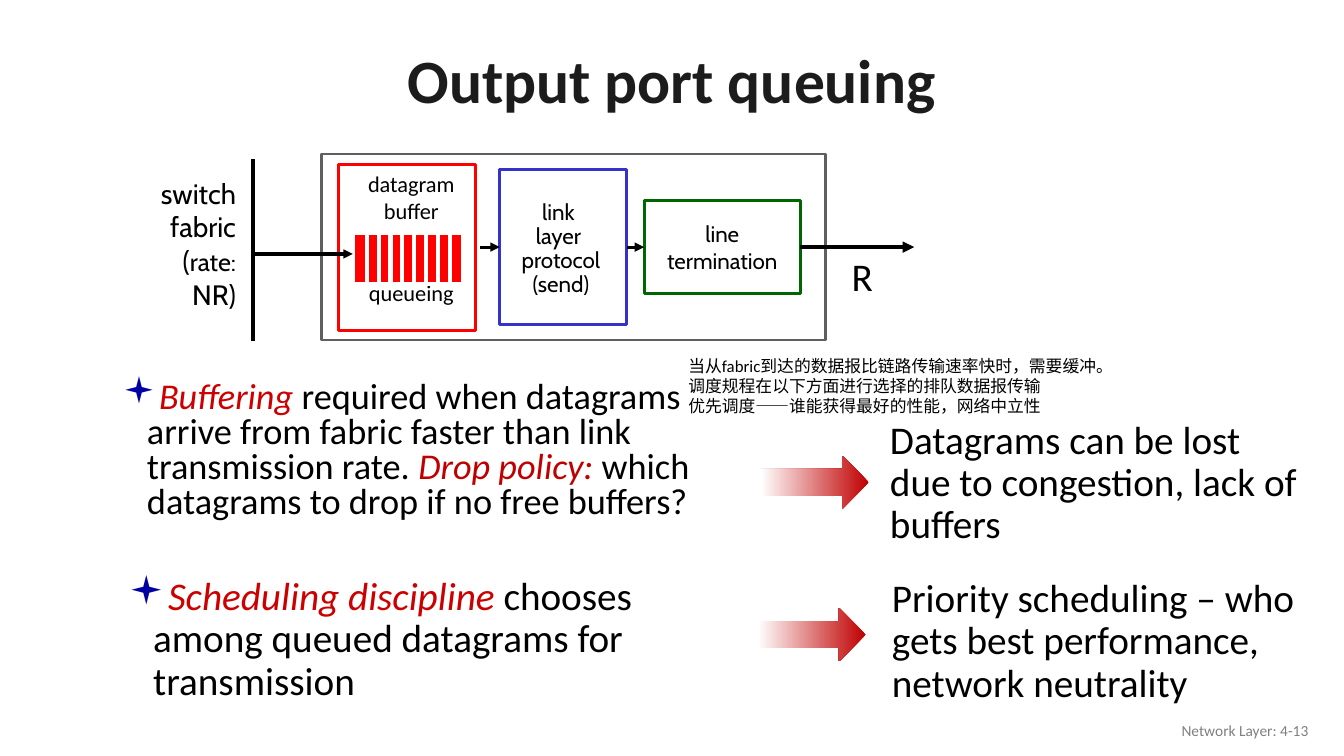
from lxml.etree import SubElement
from pptx import Presentation
from pptx.dml.color import RGBColor
from pptx.enum.shapes import MSO_CONNECTOR, MSO_SHAPE
from pptx.enum.text import MSO_ANCHOR, MSO_AUTO_SIZE, PP_ALIGN
from pptx.oxml.ns import qn
from pptx.util import Pt

COLORS = {
    "black": "000000", "white": "FFFFFF", "title": "1C1C1C", "bullet": "0000A3",
    "term": "CC0000", "deep red": "C00000", "red": "FF0000", "blue": "3333CC",
    "green": "006600", "gray": "5F5F5F", "footer": "808080",
}
LEFT, CENTER, RIGHT = PP_ALIGN.LEFT, PP_ALIGN.CENTER, PP_ALIGN.RIGHT
TOP, MIDDLE = MSO_ANCHOR.TOP, MSO_ANCHOR.MIDDLE

TITLE = "Output port queuing"
TITLE_AREA = (66, 24.5, 828, 70.5)

# area, size, line spacing, runs of (text, colour, italic)
BULLETS = [
    ((69.8, 269.3, 470.9, 111.6), 25.9, 0.8, [
        ("Buffering", "term", True),
        (" required when datagrams arrive from fabric faster than link transmission rate. ",
         "black", False),
        ("Drop policy: ", "deep red", True),
        ("which datagrams to drop if no free buffers?", "black", False)]),
    ((74.2, 408.2, 403.9, 101.5), 28, 0.9, [
        ("Scheduling discipline", "term", True),
        (" chooses among queued datagrams for transmission", "black", False)]),
]

# text, text area, left and top of the arrow
TAKEAWAYS = [
    ("Datagrams can be lost due to congestion, lack of buffers",
     (628.6, 296.6, 311, 98.6), (543.6, 325.4)),
    ("Priority scheduling – who gets best performance, network neutrality",
     (630, 409.7, 329.8, 98.6), (541.4, 434.2)),
]
ARROW_SIZE = (77, 38.2)

PORT = (229.7, 110.2, 360, 132.5)
TERMINATION = (460.1, 143.5, 111.6, 66)
LINK_LAYER = (357, 121, 90.7, 111)
LINK_LABEL = (359.3, 145.4, 82.8, 65.5)
FABRIC_LABEL = (92.9, 141.1, 82.8, 65.5)
BUFFER = (241.9, 117.4, 97.9, 118.8)
BUFFER_LABEL = (254.9, 118.1, 77.8, 104.4)
QUEUE = (252, 166.3, 78.5, 36.7)
DIVIDER_COUNT, DIVIDER_START, DIVIDER_STEP = 8, 262.1, 8.44
FLOW_Y = 176.5
FABRIC_X, FABRIC_FLOW_Y = 180.7, 181.4

NOTE = ("当从fabric到达的数据报比链路传输速率快时，需要缓冲。\n"
        "调度规程在以下方面进行选择的排队数据报传输\n"
        "优先调度——谁能获得最好的性能，网络中立性")


def color(name):
    return RGBColor.from_string(COLORS[name])


def points(values):
    return [Pt(value) for value in values]


def style(span, size, tint="black", font="Calibri"):
    span.font.name = font
    span.font.size = Pt(size)
    span.font.color.rgb = color(tint)


def place(box, area):
    box.left, box.top, box.width, box.height = points(area)


def add_label(page, text, area, size, align=LEFT, anchor=TOP, wrap=True,
              spacing=1.0, font="Calibri", tint="black", fill=None):
    box = page.shapes.add_textbox(*points(area))
    if fill:
        box.fill.solid()
        box.fill.fore_color.rgb = color(fill)
    frame = box.text_frame
    frame.word_wrap = wrap
    frame.vertical_anchor = anchor
    frame.text = text
    for para in frame.paragraphs:
        para.alignment = align
        para.line_spacing = spacing
        for span in para.runs:
            style(span, size, tint, font)
    return box


def add_block(page, area, line, weight=2.25, fill="white"):
    block = page.shapes.add_shape(MSO_SHAPE.RECTANGLE, *points(area))
    block.shadow.inherit = False
    block.fill.solid()
    block.fill.fore_color.rgb = color(fill)
    block.line.color.rgb = color(line)
    block.line.width = Pt(weight)
    return block


def add_line(page, start, end, weight=2.25, tint="black", arrow=False):
    line = page.shapes.add_connector(MSO_CONNECTOR.STRAIGHT, *points(start + end))
    line.line.color.rgb = color(tint)
    line.line.width = Pt(weight)
    if arrow:
        SubElement(line.line._get_or_add_ln(), qn("a:tailEnd"), type="triangle")
    SubElement(line._element.spPr, qn("a:effectLst"))
    return line


def add_bullet(para):
    properties = para._p.get_or_add_pPr()
    properties.set("marL", str(Pt(28)))
    properties.set("indent", str(-Pt(17.3)))
    tint = SubElement(properties, qn("a:buClr"))
    SubElement(tint, qn("a:srgbClr"), val=COLORS["bullet"])
    SubElement(properties, qn("a:buFont"), typeface="Wingdings")
    SubElement(properties, qn("a:buChar"), char="▪")


def fill_title(page):
    title = page.shapes.title
    place(title, TITLE_AREA)
    frame = title.text_frame
    frame.text = TITLE
    frame.vertical_anchor = MIDDLE
    para = frame.paragraphs[0]
    para.alignment = CENTER
    para.line_spacing = 0.9
    style(para.runs[0], 44, "title")
    para.runs[0].font.bold = True


def fill_bullets(page):
    for index, (area, size, spacing, runs) in enumerate(BULLETS, start=1):
        body = page.placeholders[index]
        place(body, area)
        frame = body.text_frame
        frame.auto_size = MSO_AUTO_SIZE.NONE
        frame.vertical_anchor = TOP
        para = frame.paragraphs[0]
        add_bullet(para)
        para.space_before = Pt(0)
        para.line_spacing = spacing
        for text, tint, italic in runs:
            span = para.add_run()
            span.text = text
            style(span, size, tint)
            span.font.italic = italic


def add_takeaways(page):
    for text, area, corner in TAKEAWAYS:
        add_label(page, text, area, 28, spacing=0.9, fill="white")
        arrow = page.shapes.add_shape(MSO_SHAPE.RIGHT_ARROW, *points(corner + ARROW_SIZE))
        arrow.shadow.inherit = False
        arrow.line.fill.background()
        arrow.fill.gradient()
        arrow.fill.gradient_angle = 180
        for stop, tint, position in zip(arrow.fill.gradient_stops, ("deep red", "white"), (0, 1)):
            stop.color.rgb = color(tint)
            stop.position = position


def add_port_diagram(page):
    add_block(page, PORT, "gray", 1.5)
    termination = add_block(page, TERMINATION, "green")
    link_layer = add_block(page, LINK_LAYER, "blue")
    add_label(page, "line\ntermination", TERMINATION, 16, CENTER, MIDDLE, False, font="Cabin")

    to_link = add_line(page, (342.7, FLOW_Y), (357, FLOW_Y), arrow=True)
    to_link.end_connect(link_layer, 1)
    to_line = add_line(page, (447.7, FLOW_Y), (460.1, FLOW_Y), arrow=True)
    to_line.begin_connect(link_layer, 3)
    to_line.end_connect(termination, 1)

    add_label(page, "link \nlayer \nprotocol\n(send)", LINK_LABEL, 16, CENTER, MIDDLE,
              False, 0.9, "Cabin", fill="white")
    fabric = add_label(page, "switch\nfabric\n(", FABRIC_LABEL, 20, RIGHT, MIDDLE,
                       False, font="Cabin", fill="white")
    for text, size in (("rate: ", 18), ("NR)", 20)):
        span = fabric.text_frame.paragraphs[2].add_run()
        span.text = text
        style(span, size, font="Cabin")

    add_block(page, BUFFER, "red")
    label = add_label(page, "datagram\nbuffer\nqueueing", BUFFER_LABEL, 16, CENTER, wrap=False)
    label.text_frame.paragraphs[2].space_before = Pt(39)
    add_block(page, QUEUE, "white", 3, "red")
    for index in range(DIVIDER_COUNT):
        x = DIVIDER_START + index * DIVIDER_STEP
        add_line(page, (x, 167), (x, 202.3), 3, "white")

    add_line(page, (FABRIC_X, 113.8), (FABRIC_X, 243.4))
    add_line(page, (179.3, FABRIC_FLOW_Y), (252, FABRIC_FLOW_Y), arrow=True)
    output = add_line(page, (571.7, FLOW_Y), (653, FLOW_Y), 2.75, arrow=True)
    output.begin_connect(termination, 3)
    add_label(page, "R", (601.2, 176.4, 25.2, 41), 28, wrap=False)


def main():
    deck = Presentation()
    deck.slide_width, deck.slide_height = Pt(960), Pt(540)
    page = deck.slides.add_slide(deck.slide_layouts.get_by_name("Two Content"))
    fill_title(page)
    fill_bullets(page)
    add_takeaways(page)
    add_port_diagram(page)
    add_label(page, "Network Layer: 4-13", (725.8, 507.6, 216, 28.8), 11, RIGHT, MIDDLE,
              tint="footer")
    add_label(page, NOTE, (484.6, 250.6, 365.8, 51.1), 12)
    deck.save("out.pptx")


if __name__ == "__main__":
    main()
